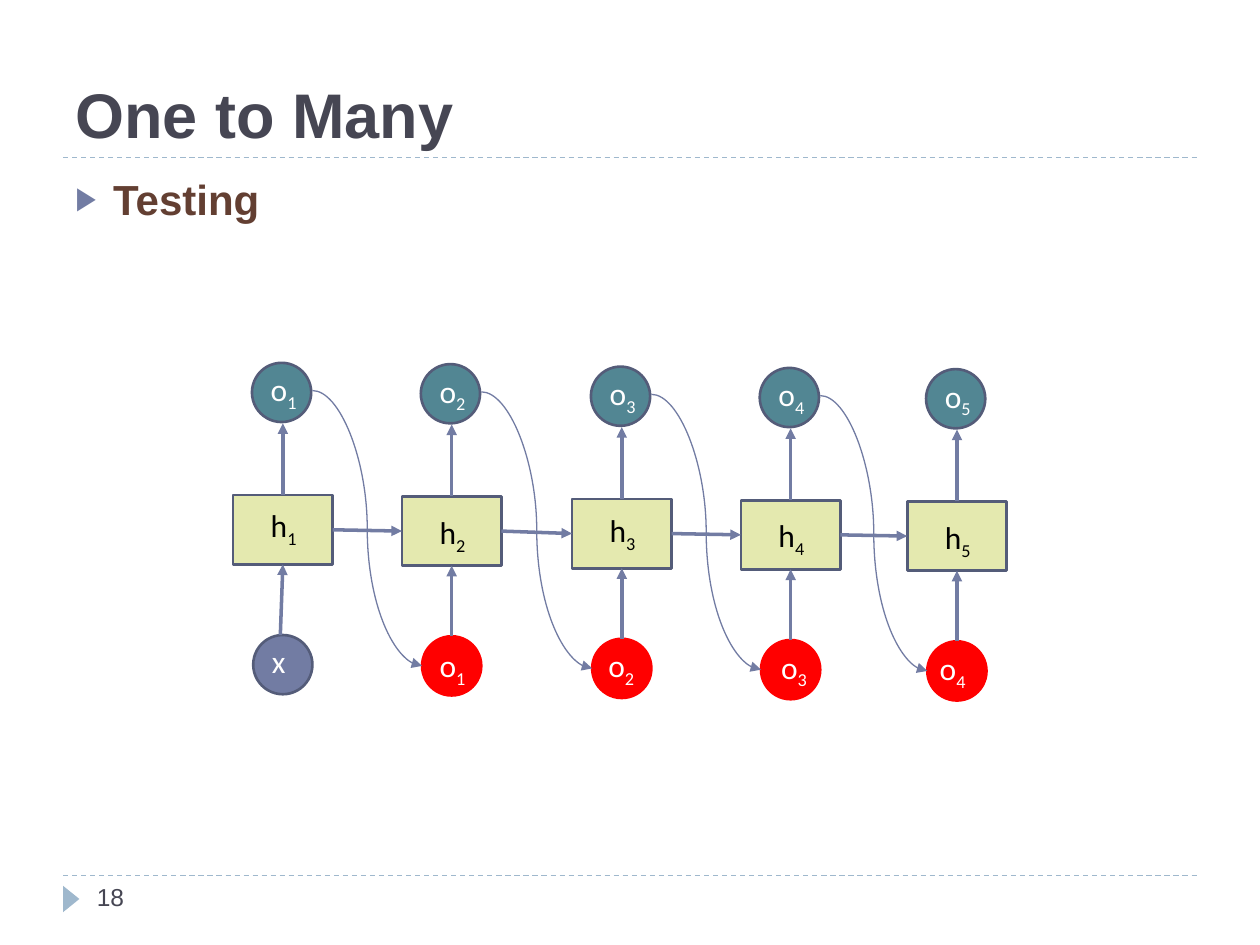
from lxml import etree
from pptx import Presentation
from pptx.dml.color import RGBColor
from pptx.enum.dml import MSO_LINE
from pptx.enum.shapes import MSO_CONNECTOR, MSO_SHAPE
from pptx.enum.text import MSO_ANCHOR, MSO_AUTO_SIZE
from pptx.oxml.ns import qn
from pptx.util import Inches, Pt

RECT, OVAL, TRIANGLE = MSO_SHAPE.RECTANGLE, MSO_SHAPE.OVAL, MSO_SHAPE.ISOSCELES_TRIANGLE
STRAIGHT, CURVE = MSO_CONNECTOR.STRAIGHT, MSO_CONNECTOR.CURVE
DASH, BOTTOM, FIT = MSO_LINE.DASH, MSO_ANCHOR.BOTTOM, MSO_AUTO_SIZE.SHAPE_TO_FIT_TEXT
TOP, LEFT, BASE, RIGHT = range(4)

INK = RGBColor(0x46, 0x46, 0x53)
BROWN = RGBColor(0x63, 0x3F, 0x32)
PALE = RGBColor(0x9F, 0xB8, 0xCD)
BLUE = RGBColor(0x72, 0x7C, 0xA3)
EDGE = RGBColor(0x54, 0x5C, 0x79)
LIME = RGBColor(0xE4, 0xE9, 0xAF)
TEAL = RGBColor(0x52, 0x86, 0x93)
RED = RGBColor(0xFF, 0, 0)
WHITE = RGBColor(0xFF, 0xFF, 0xFF)
BLACK = RGBColor(0, 0, 0)

BOX_W, BOX_H, DOT = 0.79, 0.55, 0.47
# Hidden boxes: left, top
CELLS = [(1.85, 3.93), (3.19, 3.94), (4.54, 3.96), (5.88, 3.97), (7.2, 3.98)]
# Label positions: hidden top, input left, input top
LABELS = [(3.97, 2.06, 5.05), (4.02, 3.39, 5.08), (4.01, 4.73, 5.08),
          (4.05, 6.1, 5.09), (4.06, 7.36, 5.1)]


class Painter:
    def __init__(self, slide):
        self.slide = slide

    def shape(self, kind, x, y, w, h, fill, edge=None):
        item = self.slide.shapes.add_shape(kind, Inches(x), Inches(y), Inches(w), Inches(h))
        item.shadow.inherit = False
        item.fill.solid()
        item.fill.fore_color.rgb = fill
        if edge is None:
            item.line.fill.background()
        else:
            item.line.color.rgb = edge
            item.line.width = Pt(1.5)
        return item

    def text(self, words, x, y, w, h, size, color, bold=False):
        item = self.slide.shapes.add_textbox(Inches(x), Inches(y), Inches(w), Inches(h))
        frame = item.text_frame
        frame.word_wrap = True
        frame.text = words
        font = frame.paragraphs[0].runs[0].font
        font.name, font.size, font.bold = "Arial", Pt(size), bold
        font.color.rgb = color
        return frame

    def label(self, name, index, x, y, color):
        """Write a letter with an optional subscript."""
        width = 0.42 if index else 0.33
        item = self.slide.shapes.add_textbox(Inches(x), Inches(y), Inches(width), Inches(0.4))
        frame = item.text_frame
        frame.word_wrap = False
        frame.auto_size = FIT
        para = frame.paragraphs[0]
        for part in filter(None, (name, index)):
            run = para.add_run()
            run.text = part
            run.font.name, run.font.size = "Calibri", Pt(18)
            run.font.color.rgb = color
            if part == index:
                run.font._element.set("baseline", "-25000")

    def line(self, start, end, color, width, kind=STRAIGHT):
        item = self.slide.shapes.add_connector(kind, *map(Inches, start + end))
        item.line.color.rgb = color
        item.line.width = Pt(width)
        etree.SubElement(item._element.spPr, qn("a:effectLst"))
        return item

    def arrow(self, start, end, width=2, kind=STRAIGHT):
        item = self.line(start, end, BLUE, width, kind)
        etree.SubElement(item.line._get_or_add_ln(), qn("a:tailEnd"), type="triangle")
        return item

    def bullet(self, para):
        props = para._p.get_or_add_pPr()
        props.set("marL", str(Inches(0.3)))
        props.set("indent", str(-Inches(0.3)))
        color = etree.SubElement(props, qn("a:buClr"))
        etree.SubElement(color, qn("a:srgbClr"), val=str(BLUE))
        etree.SubElement(props, qn("a:buSzPct"), val="76000")
        etree.SubElement(props, qn("a:buFont"), typeface="Arial")
        etree.SubElement(props, qn("a:buChar"), char="▶")


def frame(pen):
    for y in (6.95, 1.25):
        pen.line((0.5, y), (9.5, y), PALE, 0.75).line.dash_style = DASH
    pen.shape(TRIANGLE, 0.46, 7.07, 0.21, 0.13, PALE).rotation = 90
    title = pen.text("One to Many", 0.5, 0.17, 9, 1.08, 36, INK, True)
    title.vertical_anchor = BOTTOM
    pen.text("18", 0.67, 6.95, 2.17, 0.4, 14, INK)
    body = pen.text("Testing", 0.5, 1.33, 9, 5.4, 24, BROWN, True)
    pen.bullet(body.paragraphs[0])


def network(pen):
    last = None
    for i, ((x, y), (hid_y, in_x, in_y)) in enumerate(zip(CELLS, LABELS)):
        mid = x + BOX_W / 2
        dot_x = x + 0.16
        out_y, low_y = y - 1.05, y + 1.11
        index = str(i + 1)

        box = pen.shape(RECT, x, y, BOX_W, BOX_H, LIME, EDGE)
        pen.shape(OVAL, dot_x - 0.01, out_y, DOT, DOT, TEAL, EDGE)
        pen.label("o", index, x + 0.2, out_y + 0.01, WHITE)
        pen.label("h", index, x + 0.2, hid_y, BLACK)
        pen.arrow((mid, y), (mid, out_y + DOT + 0.01)).begin_connect(box, TOP)

        first = last is None
        pen.shape(OVAL, dot_x, low_y, DOT, DOT, BLUE if first else RED, EDGE if first else RED)
        pen.label("x" if first else "o", None if first else str(i), in_x, in_y, WHITE)
        foot = mid - 0.02 if first else mid
        pen.arrow((foot, low_y), (mid, y + BOX_H)).end_connect(box, BASE)

        if not first:
            old_x, old_y = CELLS[i - 1]
            link = pen.arrow((old_x + BOX_W, old_y + BOX_H / 2), (x, y + BOX_H / 2))
            link.begin_connect(last, RIGHT)
            link.end_connect(box, LEFT)
            pen.arrow((old_x + 0.63, old_y - 0.83), (dot_x, low_y + DOT / 2), 0.75, CURVE)
        last = box


def main():
    deck = Presentation()
    deck.slide_width, deck.slide_height = Inches(10), Inches(7.5)
    pen = Painter(deck.slides.add_slide(deck.slide_layouts[6]))
    frame(pen)
    network(pen)
    deck.save("out.pptx")


if __name__ == "__main__":
    main()
